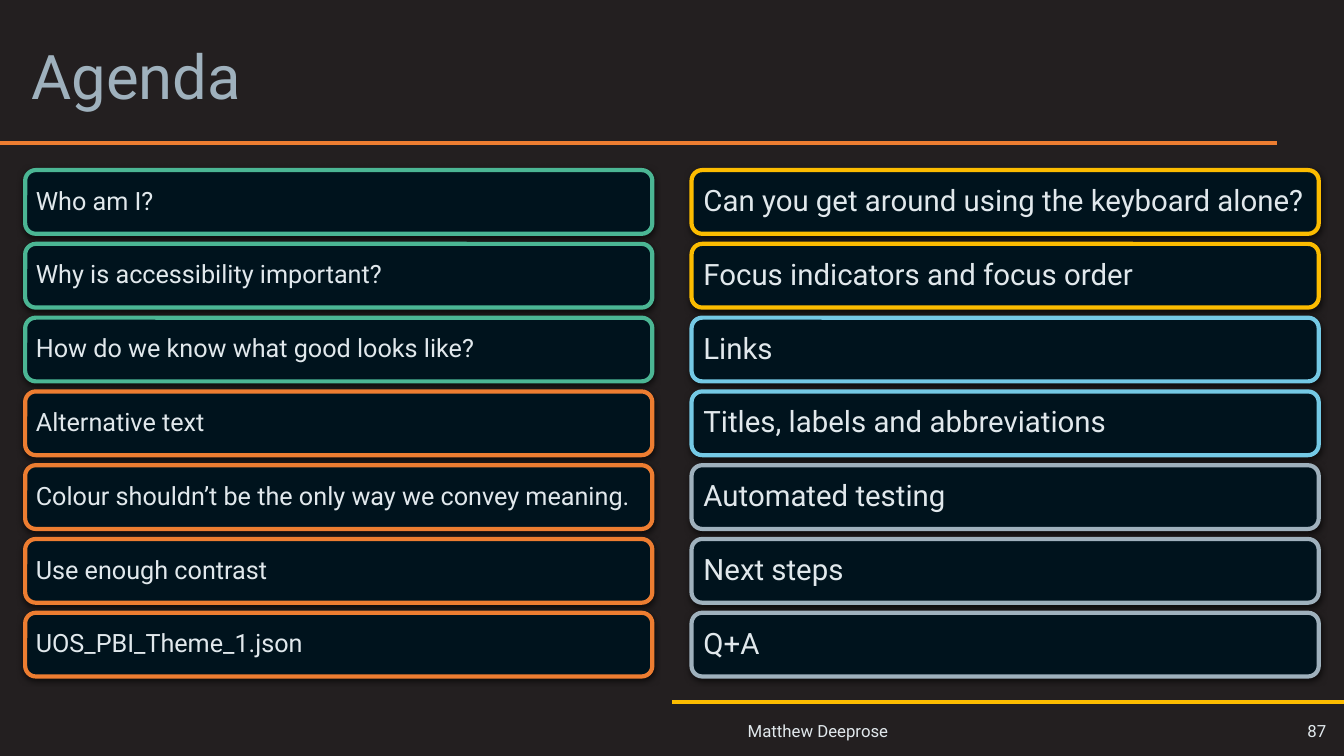
from lxml import etree
from pptx import Presentation
from pptx.dml.color import RGBColor
from pptx.enum.shapes import MSO_CONNECTOR, MSO_SHAPE
from pptx.enum.text import MSO_ANCHOR, MSO_AUTO_SIZE, PP_ALIGN
from pptx.oxml import parse_xml
from pptx.oxml.ns import nsdecls, qn
from pptx.util import Pt

FONT = "Roboto"
BACKGROUND = RGBColor(0x23, 0x1F, 0x20)
CARD = RGBColor(0x00, 0x13, 0x1D)
TEXT = RGBColor(0xE1, 0xE8, 0xEC)
GREY = RGBColor(0x9F, 0xB1, 0xBD)
GREEN = RGBColor(0x4B, 0xB6, 0x94)
ORANGE = RGBColor(0xED, 0x7D, 0x31)
YELLOW = RGBColor(0xFC, 0xBC, 0x00)
BLUE = RGBColor(0x74, 0xC9, 0xE5)

# Content
TITLE = "Agenda"
PRESENTER = "Matthew Deeprose"
PAGE_NUMBER = "87"
# Each column: left, font size, inset, topics with outline colour
COLUMNS = [
    (18, 18, 7.6, [
        ("Who am I?", GREEN),
        ("Why is accessibility important?", GREEN),
        ("How do we know what good looks like?", GREEN),
        ("Alternative text", ORANGE),
        ("Colour shouldn’t be the only way we convey meaning.", ORANGE),
        ("Use enough contrast", ORANGE),
        ("UOS_PBI_Theme_1.json", ORANGE),
    ]),
    (494, 21, 8.5, [
        ("Can you get around using the keyboard alone?", YELLOW),
        ("Focus indicators and focus order", YELLOW),
        ("Links", BLUE),
        ("Titles, labels and abbreviations", BLUE),
        ("Automated testing", GREY),
        ("Next steps", GREY),
        ("Q+A", GREY),
    ]),
]
# Each rule: start, end, height on the slide, colour
RULES = [(0, 912, 102.4, ORANGE), (480, 960, 501.2, YELLOW)]

# Layout
CARD_TOP, CARD_WIDTH, CARD_HEIGHT, CARD_PITCH = 121.5, 448, 45.5, 52.7
FOOTER_TOP, FOOTER_HEIGHT = 507, 29.5

SHADOW = (
    f'<a:effectLst {nsdecls("a")}>'
    f'<a:outerShdw blurRad="{Pt(4.5)}" dist="{Pt(1.5)}" dir="5400000" '
    'algn="ctr" rotWithShape="0"><a:srgbClr val="000000">'
    '<a:alpha val="63000"/></a:srgbClr></a:outerShdw></a:effectLst>'
)


def write(shape, text, size, color, align=PP_ALIGN.LEFT, spacing=None):
    frame = shape.text_frame
    frame.text = text
    frame.word_wrap = True
    frame.auto_size = MSO_AUTO_SIZE.NONE
    frame.vertical_anchor = MSO_ANCHOR.MIDDLE
    paragraph = frame.paragraphs[0]
    paragraph.alignment = align
    paragraph.line_spacing = spacing
    font = paragraph.runs[0].font
    font.name, font.size, font.color.rgb = FONT, Pt(size), color


def add_rule(slide, start, end, top, color):
    rule = slide.shapes.add_connector(
        MSO_CONNECTOR.STRAIGHT, Pt(start), Pt(top), Pt(end), Pt(top))
    rule.line.color.rgb = color
    rule.line.width = Pt(3)
    etree.SubElement(rule._element.spPr, qn("a:effectLst"))


def add_card(slide, left, top, topic, outline, size, inset):
    card = slide.shapes.add_shape(
        MSO_SHAPE.ROUNDED_RECTANGLE,
        Pt(left), Pt(top), Pt(CARD_WIDTH), Pt(CARD_HEIGHT))
    card.fill.solid()
    card.fill.fore_color.rgb = CARD
    card.line.color.rgb = outline
    card.line.width = Pt(3)
    card._element.spPr.append(parse_xml(SHADOW))
    write(card, topic, size, TEXT, spacing=0.9)
    # The rounded corners already add about 2.2 pt of inset
    frame = card.text_frame
    frame.margin_left = frame.margin_right = Pt(inset - 2.2)
    frame.margin_top = frame.margin_bottom = Pt(inset - 2.2)


def add_footer(slide, left, width, text, align):
    box = slide.shapes.add_textbox(
        Pt(left), Pt(FOOTER_TOP), Pt(width), Pt(FOOTER_HEIGHT))
    write(box, text, 12, TEXT, align)


def main():
    presentation = Presentation()
    presentation.slide_width, presentation.slide_height = Pt(960), Pt(540)
    slide = presentation.slides.add_slide(presentation.slide_layouts[5])
    slide.background.fill.solid()
    slide.background.fill.fore_color.rgb = BACKGROUND

    # Title and rules
    title = slide.shapes.title
    title.left, title.top = Pt(15.3), Pt(11.5)
    title.width, title.height = Pt(926.5), Pt(90.5)
    write(title, TITLE, 44, GREY, spacing=0.9)
    for rule in RULES:
        add_rule(slide, *rule)

    # Agenda cards
    for left, size, inset, topics in COLUMNS:
        for row, (topic, outline) in enumerate(topics):
            top = CARD_TOP + row * CARD_PITCH
            add_card(slide, left, top, topic, outline, size, inset)

    # Footer
    add_footer(slide, 527, 338.5, PRESENTER, PP_ALIGN.LEFT)
    add_footer(slide, 883.5, 71, PAGE_NUMBER, PP_ALIGN.RIGHT)

    presentation.save("out.pptx")


if __name__ == "__main__":
    main()
